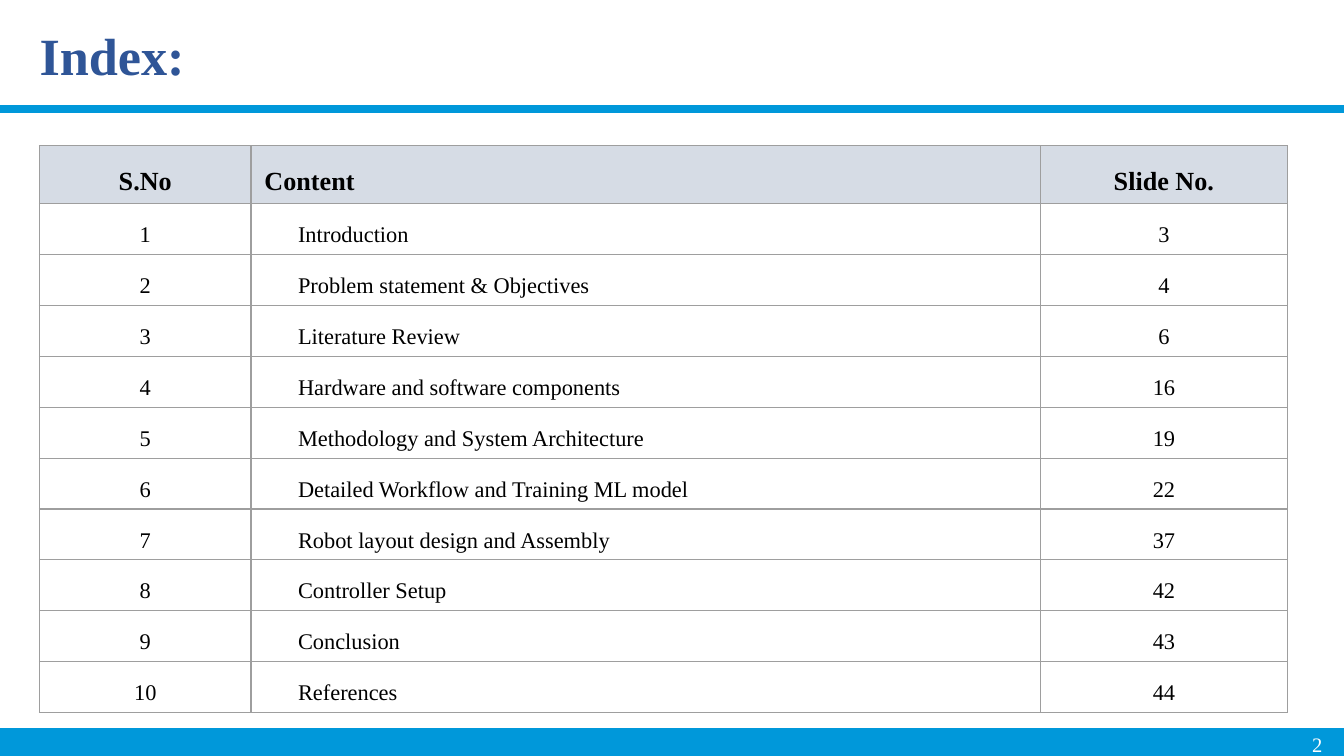
import pptx
import pptx.dml.color
import pptx.enum.shapes
import pptx.enum.text
import pptx.oxml
import pptx.oxml.ns
import pptx.util
from pptx.util import Pt

FONT = "Times New Roman"
BLUE = "0098DA"
ALIGN = pptx.enum.text.PP_ALIGN
ANCHOR = pptx.enum.text.MSO_ANCHOR

TOPICS = [
    ("Introduction", 3),
    ("Problem statement & Objectives", 4),
    ("Literature Review", 6),
    ("Hardware and software components", 16),
    ("Methodology and System Architecture", 19),
    ("Detailed Workflow and Training ML model", 22),
    ("Robot layout design and Assembly", 37),
    ("Controller Setup", 42),
    ("Conclusion", 43),
    ("References", 44),
]
COLUMN_WIDTHS = [113.3, 422.9, 132.4]
HEADER_HEIGHT = 30.3
TOPIC_HEIGHT = 27.25


def rgb(hex_color):
    return pptx.dml.color.RGBColor.from_string(hex_color)


def write(frame, text, size, color, align, bold=False):
    frame.text = text
    paragraph = frame.paragraphs[0]
    paragraph.alignment = align
    font = paragraph.runs[0].font
    font.name = FONT
    font.size = Pt(size)
    font.bold = bold
    font.color.rgb = rgb(color)
    return paragraph


def set_margins(frame, left, top, right, bottom):
    frame.margin_left, frame.margin_top = Pt(left), Pt(top)
    frame.margin_right, frame.margin_bottom = Pt(right), Pt(bottom)


def add_rule(slide, y, width):
    """Draw a blue line across the whole slide."""
    rule = slide.shapes.add_connector(
        pptx.enum.shapes.MSO_CONNECTOR.STRAIGHT, Pt(0), Pt(y), Pt(720), Pt(y))
    rule.line.color.rgb = rgb(BLUE)
    rule.line.width = Pt(width)
    rule._element.spPr.append(pptx.oxml.parse_xml(
        f'<a:effectLst {pptx.oxml.ns.nsdecls("a")}/>'))


def place_title(slide):
    title = slide.shapes.title
    title.left, title.top, title.width, title.height = Pt(0), Pt(6.3), Pt(720), Pt(47)
    frame = title.text_frame
    write(frame, "Index:", 28, "2F5597", ALIGN.LEFT, bold=True)
    frame.auto_size = pptx.enum.text.MSO_AUTO_SIZE.NONE
    frame.vertical_anchor = ANCHOR.BOTTOM
    set_margins(frame, 21.2, 7.2, 7.2, 7.2)


def add_slide_number(slide):
    box = slide.shapes.add_textbox(Pt(660.2), Pt(392.7), Pt(53.3), Pt(12.2))
    frame = box.text_frame
    frame.word_wrap = True
    frame.vertical_anchor = ANCHOR.MIDDLE
    set_margins(frame, 5, 2.9, 5, 2.9)
    write(frame, "2", 11, "FFFFFF", ALIGN.RIGHT)


def add_borders(cell):
    properties = cell._tc.get_or_add_tcPr()
    for side in ("lnL", "lnR", "lnT", "lnB"):
        properties.append(pptx.oxml.parse_xml(
            f'<a:{side} {pptx.oxml.ns.nsdecls("a")} w="{Pt(0.75)}">'
            f'<a:solidFill><a:srgbClr val="9E9E9E"/></a:solidFill></a:{side}>'))


def fill_cell(cell, text, is_header, is_content):
    add_borders(cell)
    cell.fill.solid()
    cell.fill.fore_color.rgb = rgb("D6DCE5" if is_header else "FFFFFF")
    indent = 25.2 if is_content and not is_header else 7.2
    set_margins(cell, indent, 4 if is_header else 3.6, 7.2, 2)
    cell.vertical_anchor = ANCHOR.TOP
    paragraph = write(cell.text_frame, text, 14 if is_header else 12, "000000",
                      ALIGN.LEFT if is_content else ALIGN.CENTER, bold=is_header)
    paragraph.line_spacing = 1.5


def add_index_table(slide):
    rows = [("S.No", "Content", "Slide No.")]
    rows += [(str(number), topic, str(page))
             for number, (topic, page) in enumerate(TOPICS, 1)]
    heights = [HEADER_HEIGHT] + [TOPIC_HEIGHT] * len(TOPICS)
    table = slide.shapes.add_table(
        len(rows), len(COLUMN_WIDTHS), Pt(21.2), Pt(78),
        Pt(sum(COLUMN_WIDTHS)), Pt(sum(heights))).table
    table.first_row = True
    table.horz_banding = False
    for column, width in zip(table.columns, COLUMN_WIDTHS):
        column.width = Pt(width)
    for r, (texts, height) in enumerate(zip(rows, heights)):
        table.rows[r].height = Pt(height)
        for c, text in enumerate(texts):
            fill_cell(table.cell(r, c), text, is_header=r == 0, is_content=c == 1)


def main():
    deck = pptx.Presentation()
    deck.slide_width, deck.slide_height = Pt(720), Pt(405)
    slide = deck.slides.add_slide(deck.slide_layouts[5])
    add_rule(slide, 58.4, 4)
    add_rule(slide, 398.7, 17.5)
    add_slide_number(slide)
    place_title(slide)
    add_index_table(slide)
    deck.save("out.pptx")


if __name__ == "__main__":
    main()
